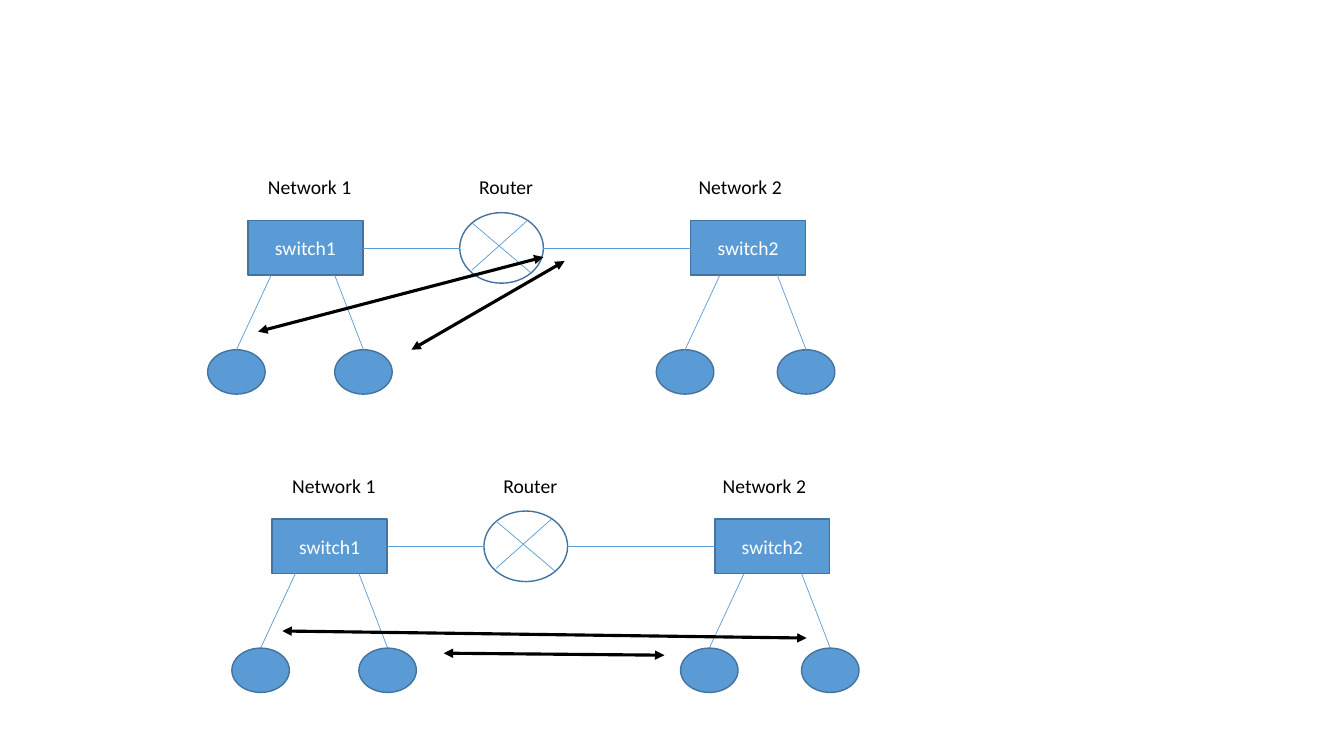
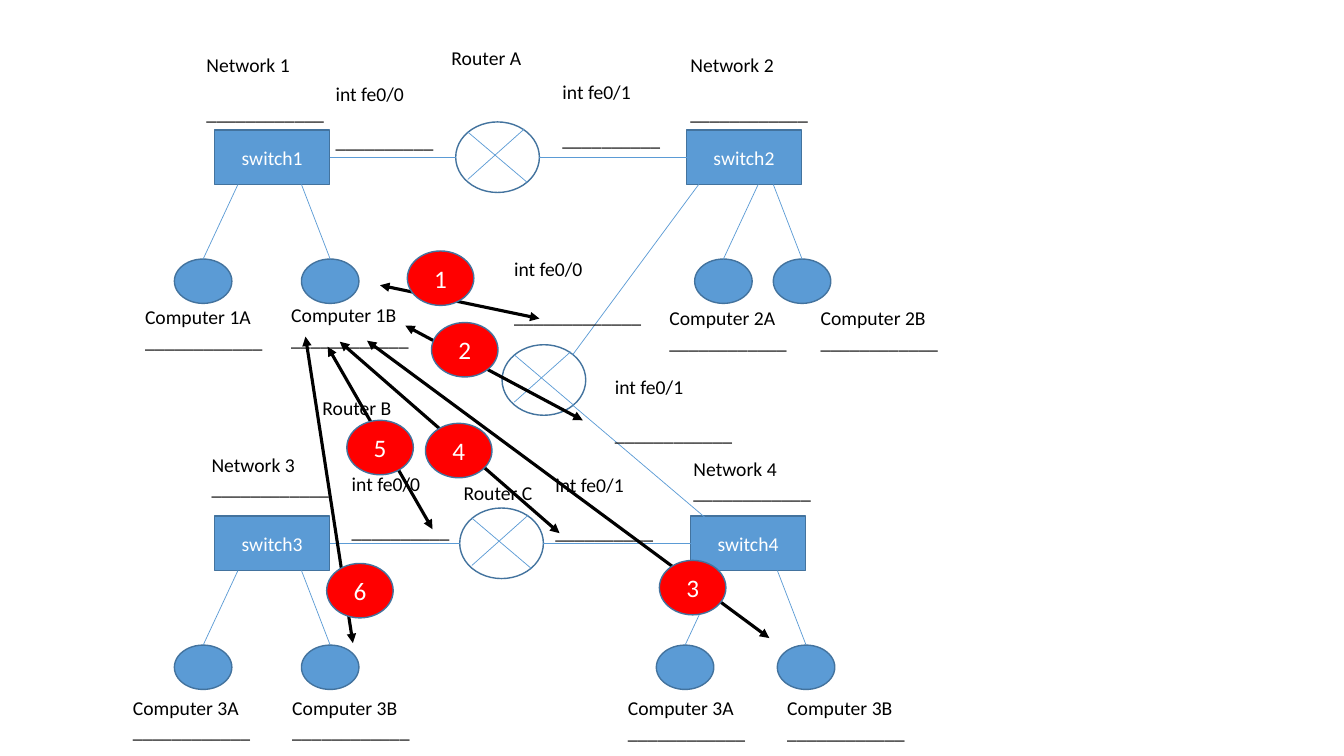
from lxml import etree
from pptx import Presentation
from pptx.dml.color import RGBColor
from pptx.enum.shapes import MSO_CONNECTOR as Link, MSO_SHAPE as Preset
from pptx.enum.text import MSO_ANCHOR as Anchor, MSO_AUTO_SIZE as AutoSize, PP_ALIGN as Align
from pptx.oxml.ns import qn
from pptx.util import Inches, Pt

# Grid of one-inch columns and rows
SLIDE_COLS, SLIDE_ROWS = 13.33, 7.5
BLUE, EDGE, RED, WHITE, BLACK = "5B9BD5", "43739E", "FF0000", "FFFFFF", "000000"
FONT, BODY, BADGE_TEXT = "Calibri", 14, 18

SWITCH = (1.14, 0.54)
HOST = (0.57, 0.44)
ROUTER = (0.83, 0.7)
BADGE = (0.66, 0.54)
LABEL_COLS = 1.6
HOST_DROP = 1.28
RIGHT_HOST = 0.86
ROUTER_RISE = 0.08
LINK_DROP = SWITCH[1] / 2
BLANK_ROW = 17  # points: one skipped line of body text


def grid(*cells):
    return [Inches(cell) for cell in cells]


def paint(color_format, hex_color):
    color_format.rgb = RGBColor.from_string(hex_color)


def format_text(paragraph, size, color, align):
    paragraph.alignment = align
    for run in paragraph.runs:
        run.font.name = FONT
        run.font.size = Pt(size)
        paint(run.font.color, color)


def node(slide, preset, corner, size, fill=BLUE, text="", text_size=BODY):
    shape = slide.shapes.add_shape(preset, *grid(*corner, *size))
    shape.shadow.inherit = False
    shape.fill.solid()
    paint(shape.fill.fore_color, fill)
    paint(shape.line.color, EDGE)
    shape.line.width = Pt(1)
    if text:
        frame = shape.text_frame
        frame.text = text
        frame.vertical_anchor = Anchor.MIDDLE
        format_text(frame.paragraphs[0], text_size, WHITE, Align.CENTER)


def link(slide, start, end, color=BLUE, width=0.5):
    line = slide.shapes.add_connector(Link.STRAIGHT, *grid(*start, *end))
    paint(line.line.color, color)
    line.line.width = Pt(width)
    etree.SubElement(line._element.spPr, qn("a:effectLst"))
    return line


def traffic(slide, start, end):
    """Draw a thick black route with an arrowhead at each end."""
    route = link(slide, start, end, BLACK, 2.25)
    outline = route.line._get_or_add_ln()
    for end_tag in ("a:headEnd", "a:tailEnd"):
        etree.SubElement(outline, qn(end_tag), type="triangle")


def label(slide, corner, name, blank=0, gap=0, align=Align.LEFT):
    """Write a name and, below it, an answer line of `blank` underscores."""
    rows = 0.34 + (0.23 if blank else 0) + gap / 72
    box = slide.shapes.add_textbox(*grid(*corner, LABEL_COLS, rows))
    frame = box.text_frame
    frame.word_wrap = True
    frame.auto_size = AutoSize.SHAPE_TO_FIT_TEXT
    frame.text = name
    if blank:
        answer = frame.add_paragraph()
        answer.text = "_" * blank
        answer.space_before = Pt(gap)
    for paragraph in frame.paragraphs:
        format_text(paragraph, BODY, BLACK, align)


def network(slide, name, left, top, left_host):
    """Draw a switch and two hosts; left_host is counted from the switch."""
    node(slide, Preset.RECTANGLE, (left, top), SWITCH, text=name)
    host_top = top + HOST_DROP
    for host, foot in ((left_host, left_host + 0.63), (RIGHT_HOST, RIGHT_HOST)):
        node(slide, Preset.OVAL, (left + host, host_top), HOST)
        link(slide, (left + host + HOST[0] / 2, host_top), (left + foot, top + SWITCH[1]))


def router(slide, left, top):
    node(slide, Preset.OVAL, (left, top), ROUTER, WHITE)
    for x1, y1, x2, y2 in ((0.12, 0.1, 0.71, 0.6), (0.68, 0.07, 0.12, 0.57)):
        link(slide, (left + x1, top + y1), (left + x2, top + y2))


def routed_pair(slide, top, lefts, names, right_pair_host=-0.34):
    """Join two networks through a router; lefts are switch, router, switch."""
    first, middle, second = lefts
    network(slide, names[0], first, top, -0.4)
    network(slide, names[1], second, top, right_pair_host)
    router(slide, middle, top - ROUTER_RISE)
    wire = top + LINK_DROP
    link(slide, (first + SWITCH[0], wire), (middle, wire))
    link(slide, (middle + ROUTER[0], wire), (second, wire))


def traffic_slide(slide):
    scenes = (
        (2.46, 2.19, (((4.08, 3.47), (5.6, 2.59)), ((2.56, 3.29), (5.39, 2.55)))),
        (2.7, 5.15, (((4.4, 6.48), (6.59, 6.5)), ((2.8, 6.26), (8, 6.33)))),
    )
    for left, top, routes in scenes:
        routed_pair(slide, top, (left, left + 2.1, left + 4.39), ("switch1", "switch2"))
        label_top = top - 0.5
        label(slide, (left + 0.1, label_top), "Network 1")
        label(slide, (left + 1.76, label_top), "Router", align=Align.CENTER)
        label(slide, (left + 4.37, label_top), "Network 2")
        for start, end in routes:
            traffic(slide, start, end)


def addressing_slide(slide):
    routed_pair(slide, 1.29, (2.13, 4.52, 6.81), ("switch1", "switch2"), 0.08)
    routed_pair(slide, 5.12, (2.13, 4.56, 6.85), ("switch3", "switch4"))
    router(slide, 4.98, 3.42)
    link(slide, (5.68, 3.52), (6.93, 1.83))
    link(slide, (5.68, 4.02), (7, 5.14))

    for name, corner in (("Router A", (4.38, 0.41)), ("Router B", (3.1, 3.88)),
                         ("Router C", (4.5, 4.72))):
        label(slide, corner, name)

    spaced_labels = (
        ("Network 1", (1.95, 0.48), 12), ("Network 2", (6.75, 0.48), 12),
        ("int fe0/0", (3.23, 0.76), 10), ("int fe0/1", (5.48, 0.74), 10),
        ("int fe0/0", (5, 2.5), 13), ("int fe0/1", (6, 3.67), 12),
        ("int fe0/0", (3.39, 4.63), 10), ("int fe0/1", (5.41, 4.64), 10),
    )
    for name, corner, blank in spaced_labels:
        label(slide, corner, name, blank, BLANK_ROW)

    close_labels = (
        ("Network 3", (2, 4.44)), ("Network 4", (6.78, 4.48)),
        ("Computer 1A", (1.34, 2.98)), ("Computer 1B", (2.79, 2.96)),
        ("Computer 2A", (6.54, 2.99)), ("Computer 2B", (8.04, 2.99)),
        ("Computer 3A", (1.22, 6.85)), ("Computer 3B", (2.8, 6.85)),
        ("Computer 3A", (6.13, 6.86)), ("Computer 3B", (7.71, 6.86)),
    )
    for name, corner in close_labels:
        label(slide, corner, name, blank=12)

    numbered_routes = (
        ((3.77, 2.83), (5.35, 3.16), (4.04, 2.49)),
        ((4.02, 3.23), (5.78, 4.17), (4.28, 3.2)),
        ((3.64, 3.38), (7.63, 6.33), (6.54, 5.56)),
        ((3.37, 3.39), (5.55, 5.29), (4.22, 4.2)),
        ((3.25, 3.44), (4.29, 5.25), (3.44, 4.17)),
        ((3.03, 3.34), (3.5, 6.38), (3.24, 5.59)),
    )
    for number, (start, end, badge) in enumerate(numbered_routes, 1):
        traffic(slide, start, end)
        node(slide, Preset.OVAL, badge, BADGE, RED, str(number), BADGE_TEXT)


def main():
    deck = Presentation()
    deck.slide_width, deck.slide_height = grid(SLIDE_COLS, SLIDE_ROWS)
    blank_layout = deck.slide_layouts[6]
    for build in (traffic_slide, addressing_slide):
        build(deck.slides.add_slide(blank_layout))
    deck.save("out.pptx")


if __name__ == "__main__":
    main()
